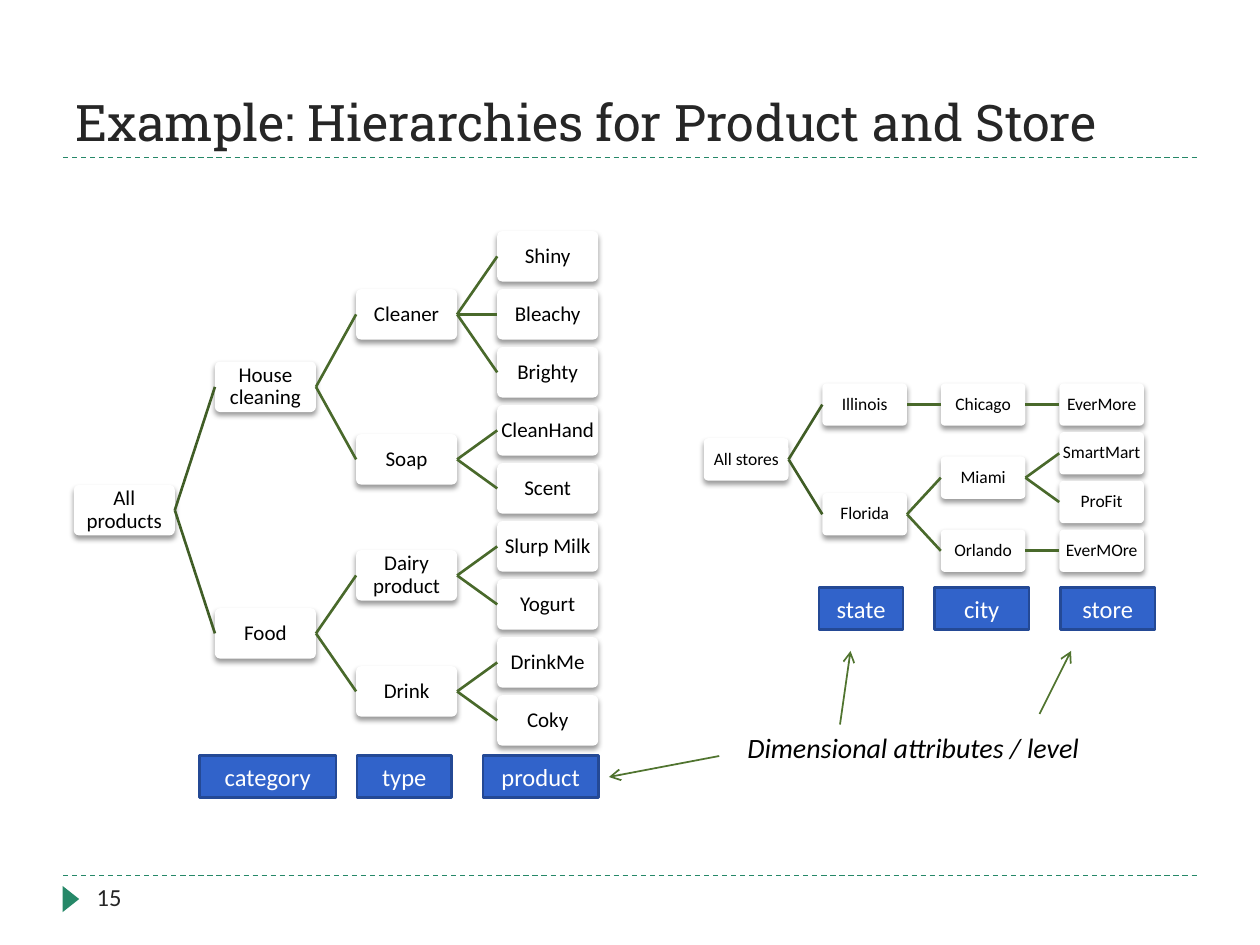
from lxml.etree import SubElement
from pptx import Presentation
from pptx.dml.color import RGBColor
from pptx.enum.dml import MSO_LINE
from pptx.enum.shapes import MSO_CONNECTOR, MSO_SHAPE
from pptx.enum.text import MSO_ANCHOR, PP_ALIGN
from pptx.oxml.ns import qn
from pptx.util import Pt

TEAL = RGBColor(0x26, 0x88, 0x68)
DARK = RGBColor(0x26, 0x26, 0x26)
BLACK = RGBColor(0, 0, 0)
WHITE = RGBColor(0xFF, 0xFF, 0xFF)
ROOT_GREEN = RGBColor(0x40, 0x5D, 0x26)
BRANCH_GREEN = RGBColor(0x49, 0x69, 0x2B)
ARROW_GREEN = RGBColor(0x50, 0x74, 0x2F)
BLUE = RGBColor(0x31, 0x63, 0xCA)
BLUE_EDGE = RGBColor(0x24, 0x49, 0x95)

TITLE = "Example: Hierarchies for Product and Store"
PAGE_NUMBER = "15"
CAPTION = "Dimensional attributes / level"

# Each node is (name, children)
PRODUCTS = ("All products", [
    ("House cleaning", [
        ("Cleaner", [("Shiny", []), ("Bleachy", []), ("Brighty", [])]),
        ("Soap", [("CleanHand", []), ("Scent", [])]),
    ]),
    ("Food", [
        ("Dairy product", [("Slurp Milk", []), ("Yogurt", [])]),
        ("Drink", [("DrinkMe", []), ("Coky", [])]),
    ]),
])
STORES = ("All stores", [
    ("Illinois", [("Chicago", [("EverMore", [])])]),
    ("Florida", [
        ("Miami", [("SmartMart", []), ("ProFit", [])]),
        ("Orlando", [("EverMOre", [])]),
    ]),
])

PRODUCT_LAYOUT = dict(left=42.2, first_leaf=146.5, column_step=80.65, row_step=33.15,
                      width=57.7, height=28.8, font_size=12)
STORE_LAYOUT = dict(left=402.2, first_leaf=231.2, column_step=67.7, row_step=27.85,
                    width=48.4, height=24.2, font_size=10)

# (name, left, top, width)
LEVELS = [
    ("category", 114, 431.7, 78), ("type", 204, 431.7, 54), ("product", 276, 431.7, 66),
    ("state", 468, 335.7, 48), ("city", 534, 335.7, 54), ("store", 606, 335.7, 54),
]
LEVEL_HEIGHT = 24.2
ARROWS = [(480, 414, 486, 372), (594, 408, 612, 372), (411, 432, 348, 444)]
RULES = [90, 500.4]

presentation = Presentation()
presentation.slide_width, presentation.slide_height = Pt(720), Pt(540)
slide = presentation.slides.add_slide(presentation.slide_layouts[6])


def write(shape, text, size, color, font="Calibri", align=PP_ALIGN.LEFT,
          anchor=MSO_ANCHOR.TOP):
    frame = shape.text_frame
    frame.word_wrap = True
    frame.vertical_anchor = anchor
    frame.text = text
    paragraph = frame.paragraphs[0]
    paragraph.alignment = align
    paragraph.font.size = Pt(size)
    paragraph.font.name = font
    paragraph.font.color.rgb = color
    return paragraph


def add_text(left, top, width, height, *args, **options):
    box = slide.shapes.add_textbox(Pt(left), Pt(top), Pt(width), Pt(height))
    return write(box, *args, **options)


def add_block(kind, left, top, width, height, fill):
    """Add a filled preset shape with no outline and no shadow."""
    shape = slide.shapes.add_shape(kind, Pt(left), Pt(top), Pt(width), Pt(height))
    shape.shadow.inherit = False
    shape.fill.solid()
    shape.fill.fore_color.rgb = fill
    shape.line.fill.background()
    return shape


def add_line(x1, y1, x2, y2, color, weight):
    line = slide.shapes.add_connector(MSO_CONNECTOR.STRAIGHT, Pt(x1), Pt(y1), Pt(x2), Pt(y2))
    line.line.color.rgb = color
    line.line.width = Pt(weight)
    SubElement(line._element.spPr, qn("a:effectLst"))
    return line


def add_drop_shadow(shape):
    effects = shape._element.spPr.find(qn("a:effectLst"))
    shadow = SubElement(effects, qn("a:outerShdw"), blurRad=str(Pt(3)), dist=str(Pt(2)),
                        dir="5400000", algn="ctr", rotWithShape="0")
    color = SubElement(shadow, qn("a:srgbClr"), val="000000")
    SubElement(color, qn("a:alpha"), val="40000")


def add_node(text, left, middle, layout):
    width, height = layout["width"], layout["height"]
    node = add_block(MSO_SHAPE.ROUNDED_RECTANGLE, left, middle - height / 2,
                     width, height, WHITE)
    node.adjustments[0] = 0.1
    add_drop_shadow(node)
    frame = node.text_frame
    frame.margin_left = frame.margin_right = Pt(0.3)
    frame.margin_top = frame.margin_bottom = Pt(1.4)
    paragraph = write(node, text, layout["font_size"], BLACK,
                      align=PP_ALIGN.CENTER, anchor=MSO_ANCHOR.MIDDLE)
    paragraph.line_spacing = 0.9
    return node


def add_tree(tree, layout, depth=0, row=0):
    """Draw a subtree from leaf row `row`; return its box, middle and next free row."""
    name, children = tree
    middles, boxes = [], []
    next_row = row
    for child in children:
        box, middle, next_row = add_tree(child, layout, depth + 1, next_row)
        boxes.append(box)
        middles.append(middle)
    if children:
        middle = round((middles[0] + middles[-1]) / 2, 2)
    else:
        middle = round(layout["first_leaf"] + row * layout["row_step"], 2)
        next_row = row + 1
    node = add_node(name, layout["left"] + depth * layout["column_step"], middle, layout)
    for box in boxes:
        link = add_line(0, 0, 0, 0, BRANCH_GREEN if depth else ROOT_GREEN, 1.5)
        link.begin_connect(node, 3)
        link.end_connect(box, 1)
    return node, middle, next_row


for y in RULES:
    add_line(36, y, 684, y, TEAL, 0.75).line.dash_style = MSO_LINE.DASH
marker = add_block(MSO_SHAPE.ISOSCELES_TRIANGLE, 33, 509, 15, 9.5, TEAL)
marker.rotation = 90

add_text(36, 12, 648, 78, TITLE, 28.8, DARK, font="Roboto Slab", anchor=MSO_ANCHOR.BOTTOM)
add_text(48.2, 500.4, 156, 28.8, PAGE_NUMBER, 14, DARK)

add_tree(PRODUCTS, PRODUCT_LAYOUT)
add_tree(STORES, STORE_LAYOUT)

for name, left, top, width in LEVELS:
    label = add_block(MSO_SHAPE.RECTANGLE, left, top, width, LEVEL_HEIGHT, BLUE)
    label.line.color.rgb = BLUE_EDGE
    label.line.width = Pt(1.5)
    write(label, name, 14, WHITE, align=PP_ALIGN.CENTER)

add_text(420, 414, 216, 26.6, CAPTION, 16, BLACK).font.italic = True
for ends in ARROWS:
    arrow = add_line(*ends, ARROW_GREEN, 1)
    SubElement(arrow.line._get_or_add_ln(), qn("a:tailEnd"), type="arrow")

presentation.save("out.pptx")
